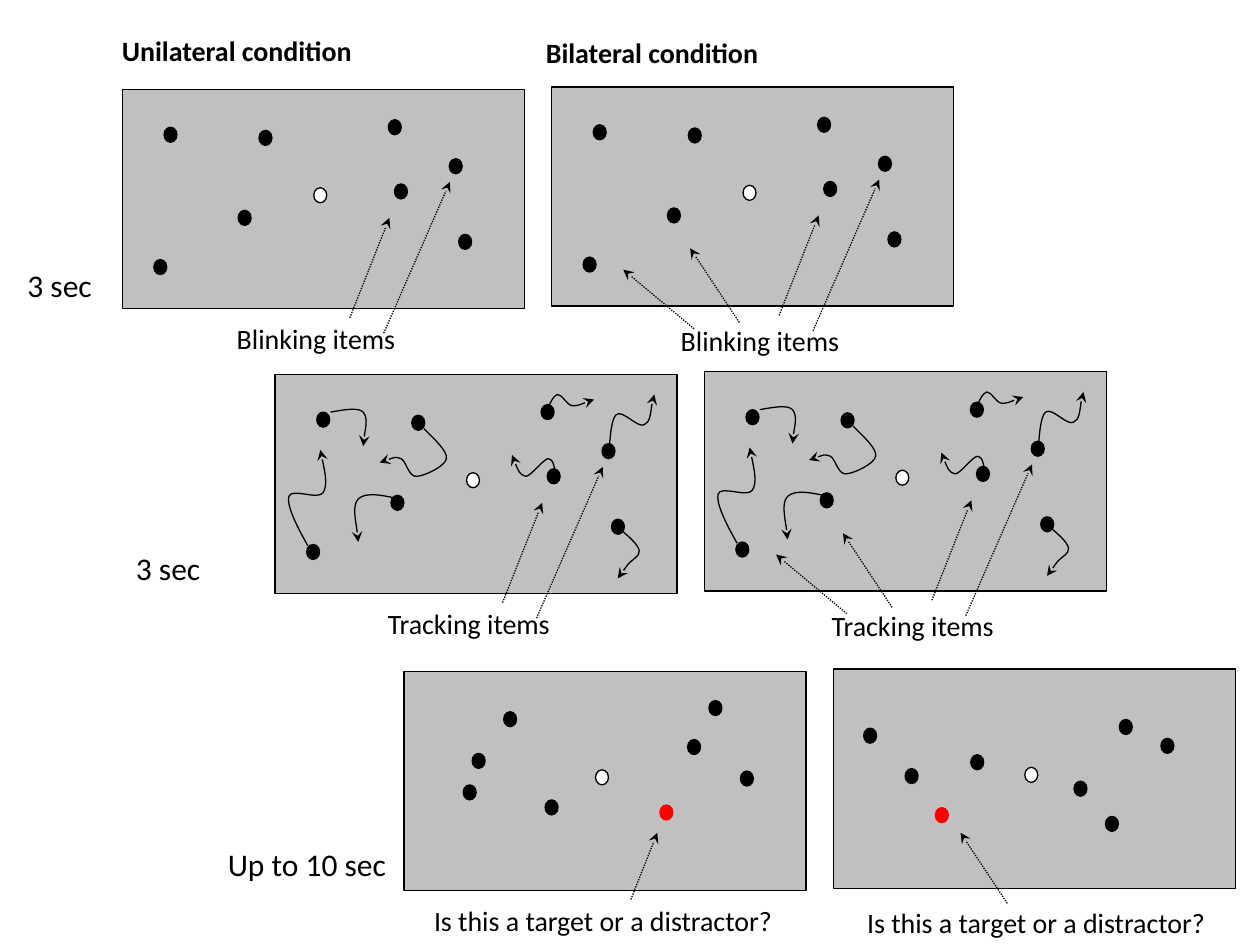
"""Build the slide of unilateral and bilateral object-tracking trials."""
from dataclasses import dataclass

from lxml import etree
from pptx import Presentation
from pptx.dml.color import RGBColor
from pptx.enum.dml import MSO_LINE
from pptx.enum.shapes import MSO_CONNECTOR, MSO_SHAPE
from pptx.enum.text import PP_ALIGN
from pptx.oxml.ns import qn
from pptx.util import Pt

BLACK = RGBColor(0x00, 0x00, 0x00)
WHITE = RGBColor(0xFF, 0xFF, 0xFF)
RED = RGBColor(0xFF, 0x00, 0x00)
GREY = RGBColor(0xC0, 0xC0, 0xC0)
RECTANGLE, OVAL = MSO_SHAPE.RECTANGLE, MSO_SHAPE.OVAL
STRAIGHT = MSO_CONNECTOR.STRAIGHT
DOTTED = MSO_LINE.ROUND_DOT
LEFT, CENTER = PP_ALIGN.LEFT, PP_ALIGN.CENTER
FONT = "Calibri"
LINE_WIDTH = 0.75
PANEL_WIDTH, PANEL_HEIGHT = 229.7, 125.3
DOT_WIDTH, DOT_HEIGHT = 7.4, 8.6
FIXATION = (109.4, 56.2)
BILATERAL_DX, BILATERAL_DY = 245.3, -1.4

Point = tuple[float, float]
Arrow = tuple[Point, Point]


@dataclass(frozen=True)
class Label:
    text: str
    left: float
    top: float
    width: float
    height: float
    size: int = 16
    bold: bool = False
    align: PP_ALIGN = CENTER


@dataclass(frozen=True)
class Panel:
    dots: list[Point]
    arrows: list[Arrow]
    caption_dx: float
    caption_dy: float
    probe: Point | None = None


@dataclass(frozen=True)
class Stage:
    left: float
    top: float
    caption: str
    caption_width: float
    panels: list[Panel]
    paths: list[list[Point]]


START_DOTS = [(23.8, 21.6), (78.1, 23.4), (66.2, 69.1), (18, 97.2),
              (186.8, 39.6), (155.5, 54), (152, 17.3), (192.2, 82.8)]
RIGHT_ARROWS = [((130, 130.5), (152.6, 73.4)), ((149.4, 139.3), (187.2, 52.9))]
LEFT_ARROWS = [((107.3, 134.6), (79.2, 92.2)), ((81.4, 138.2), (41, 104.4))]
START_PANELS = [Panel(START_DOTS, RIGHT_ARROWS, 36.2, 128.9),
                Panel(START_DOTS, LEFT_ARROWS + RIGHT_ARROWS, 44.6, 131.8)]
PROBE_PANELS = [
    Panel([(38.9, 46.8), (56.9, 23), (80.6, 73.4), (33.8, 64.8),
           (162, 38.9), (174.2, 16.6), (192.2, 56.9)],
          [((129.6, 130.3), (144.7, 92.2))], -2.2, 128.9, (146.2, 76.3)),
    Panel([(17.3, 33.8), (78.5, 49), (41, 56.9), (187.2, 39.6),
           (155.5, 84.2), (163.4, 28.8), (137.5, 64.1)],
          [((99.4, 133.9), (72.7, 93.6))], 0, 131.8, (58.3, 79.2)),
]
MOTION_PATHS = [
    [(31.7, 21.6), (39.6, 20.2), (47.5, 18.7), (50.4, 21.6),
     (53.3, 25.2), (50.4, 37.4), (50.4, 41)],
    [(71.3, 71.3), (61.2, 69.1), (51.8, 67), (47.5, 71.3),
     (43.9, 74.9), (47.5, 91.4), (47.5, 95.8)],
    [(85, 31), (91.4, 37.4), (98.6, 43.9), (97.9, 48.2),
     (97.2, 52.6), (85, 58.3), (80.6, 58.3), (76.3, 58.3), (74.9, 49.7),
     (72, 48.2), (68.4, 46.8), (64.1, 49), (59.8, 50.4)],
    [(18.7, 97.9), (12.2, 86.4), (6.5, 74.9), (7.9, 69.8), (9.4, 64.8),
     (24.5, 72), (27.4, 67.7), (30.2, 63.4), (28.1, 53.3), (25.9, 43.2)],
    [(190.8, 44.6), (191.5, 35.3), (192.2, 25.2), (195.1, 23), (198.7, 20.2),
     (207.4, 31), (211, 28.8), (214.6, 27.4), (215.3, 14.4), (216.7, 11.5)],
    [(197.3, 88.6), (202.3, 92.9), (207.4, 97.2), (208.1, 100.8), (208.8, 103.7),
     (203, 106.6), (201.6, 108.7), (199.4, 111.6), (198, 113.8), (195.8, 116.6)],
    [(154.8, 21.6), (157, 16.6), (159.1, 12.2), (161.3, 11.5), (164.2, 11.5),
     (166.3, 17.3), (169.9, 18), (173.5, 18), (177.8, 15.8), (182.2, 14.4)],
    [(160.6, 59), (159.8, 54), (159.1, 48.2), (156.2, 48.2), (153.4, 48.2),
     (146.2, 58.3), (143.3, 58.3), (139.7, 57.6), (137.5, 51.8), (135.4, 46.1)],
]
STAGES = [
    Stage(69.9, 51.1, "Blinking items", 149, START_PANELS, []),
    Stage(157.2, 213.9, "Tracking items", 149, START_PANELS, MOTION_PATHS),
    Stage(230.9, 383.7, "Is this a target or a distractor?", 231.8, PROBE_PANELS, []),
]
LABELS = [
    Label("Unilateral condition", 62.6, 15.8, 165, 33, bold=True, align=LEFT),
    Label("Bilateral condition", 273.6, 16.6, 198, 27.4, bold=True),
    Label("3 sec", 8.6, 148.3, 62.6, 28.8, size=18, align=LEFT),
    Label("3 sec", 70.6, 310.3, 62.6, 28.8, size=18, align=LEFT),
    Label("Up to 10 sec", 123.1, 479.5, 113, 28.8, size=18, align=LEFT),
]


def add_label(slide, label: Label) -> None:
    box = slide.shapes.add_textbox(
        Pt(label.left), Pt(label.top), Pt(label.width), Pt(label.height))
    box.text_frame.word_wrap = True
    paragraph = box.text_frame.paragraphs[0]
    paragraph.alignment = label.align
    run = paragraph.add_run()
    run.text = label.text
    run.font.name = FONT
    run.font.size = Pt(label.size)
    run.font.bold = label.bold
    run.font.color.rgb = BLACK


def add_filled(slide, preset: MSO_SHAPE, left: float, top: float, width: float,
               height: float, fill: RGBColor, outline: RGBColor = BLACK) -> None:
    shape = slide.shapes.add_shape(preset, Pt(left), Pt(top), Pt(width), Pt(height))
    shape.shadow.inherit = False
    shape.fill.solid()
    shape.fill.fore_color.rgb = fill
    shape.line.color.rgb = outline
    shape.line.width = Pt(LINE_WIDTH)


def style_arrow(line) -> None:
    line.color.rgb = BLACK
    line.width = Pt(LINE_WIDTH)
    etree.SubElement(line._get_or_add_ln(), qn("a:tailEnd"), type="stealth")


def add_pointer(slide, left: float, top: float, arrow: Arrow) -> None:
    (x1, y1), (x2, y2) = arrow
    pointer = slide.shapes.add_connector(
        STRAIGHT, Pt(left + x1), Pt(top + y1), Pt(left + x2), Pt(top + y2))
    pointer.line.dash_style = DOTTED
    style_arrow(pointer.line)
    etree.SubElement(pointer._element.spPr, qn("a:effectLst"))


def add_motion(slide, left: float, top: float, points: list[Point]) -> None:
    places = [(Pt(left + x), Pt(top + y)) for x, y in points]
    builder = slide.shapes.build_freeform(*places[0])
    builder.add_line_segments(places[1:], close=False)
    motion = builder.convert_to_shape()
    motion.shadow.inherit = False
    motion.fill.background()
    style_arrow(motion.line)
    outline = next(motion._element.iter(qn("a:path")))
    segments = outline.findall(qn("a:lnTo"))
    for start in range(0, len(segments), 3):
        curve = etree.SubElement(outline, qn("a:cubicBezTo"))
        for segment in segments[start:start + 3]:
            curve.append(segment[0])
            outline.remove(segment)


def add_panel(slide, stage: Stage, panel: Panel, left: float, top: float) -> None:
    add_filled(slide, RECTANGLE, left, top, PANEL_WIDTH, PANEL_HEIGHT, GREY)
    for x, y in panel.dots:
        add_filled(slide, OVAL, left + x, top + y, DOT_WIDTH, DOT_HEIGHT, BLACK)
    if panel.probe:
        x, y = panel.probe
        add_filled(slide, OVAL, left + x, top + y, DOT_WIDTH, DOT_HEIGHT, RED, RED)
    add_filled(slide, OVAL, left + FIXATION[0], top + FIXATION[1],
               DOT_WIDTH, DOT_HEIGHT, WHITE)
    for arrow in panel.arrows:
        add_pointer(slide, left, top, arrow)
    for points in stage.paths:
        add_motion(slide, left, top, points)
    add_label(slide, Label(stage.caption, left + panel.caption_dx,
                           top + panel.caption_dy, stage.caption_width, 27))


def main() -> None:
    deck = Presentation()
    deck.slide_width, deck.slide_height = Pt(720), Pt(540)
    slide = deck.slides.add_slide(deck.slide_layouts[6])
    for stage in STAGES:
        for column, panel in enumerate(stage.panels):
            add_panel(slide, stage, panel, stage.left + column * BILATERAL_DX,
                      stage.top + column * BILATERAL_DY)
    for label in LABELS:
        add_label(slide, label)
    deck.save("out.pptx")


main()
